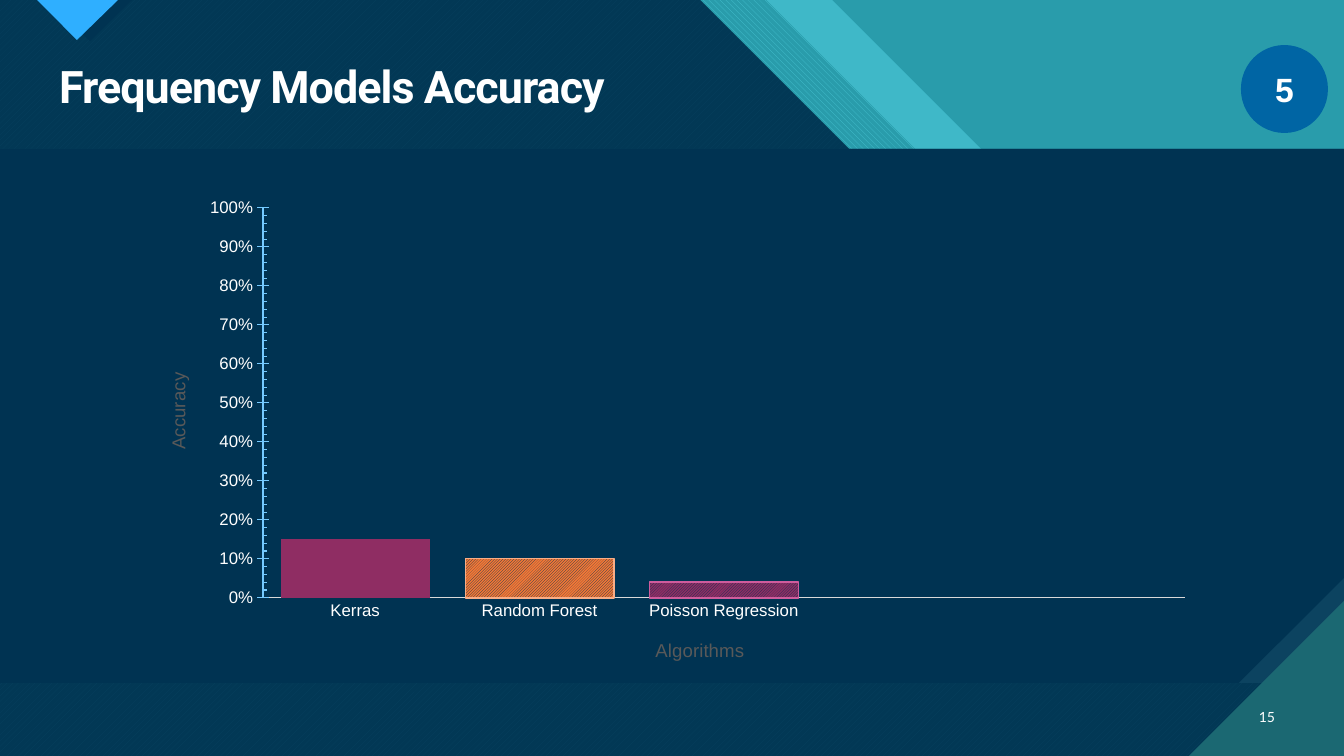
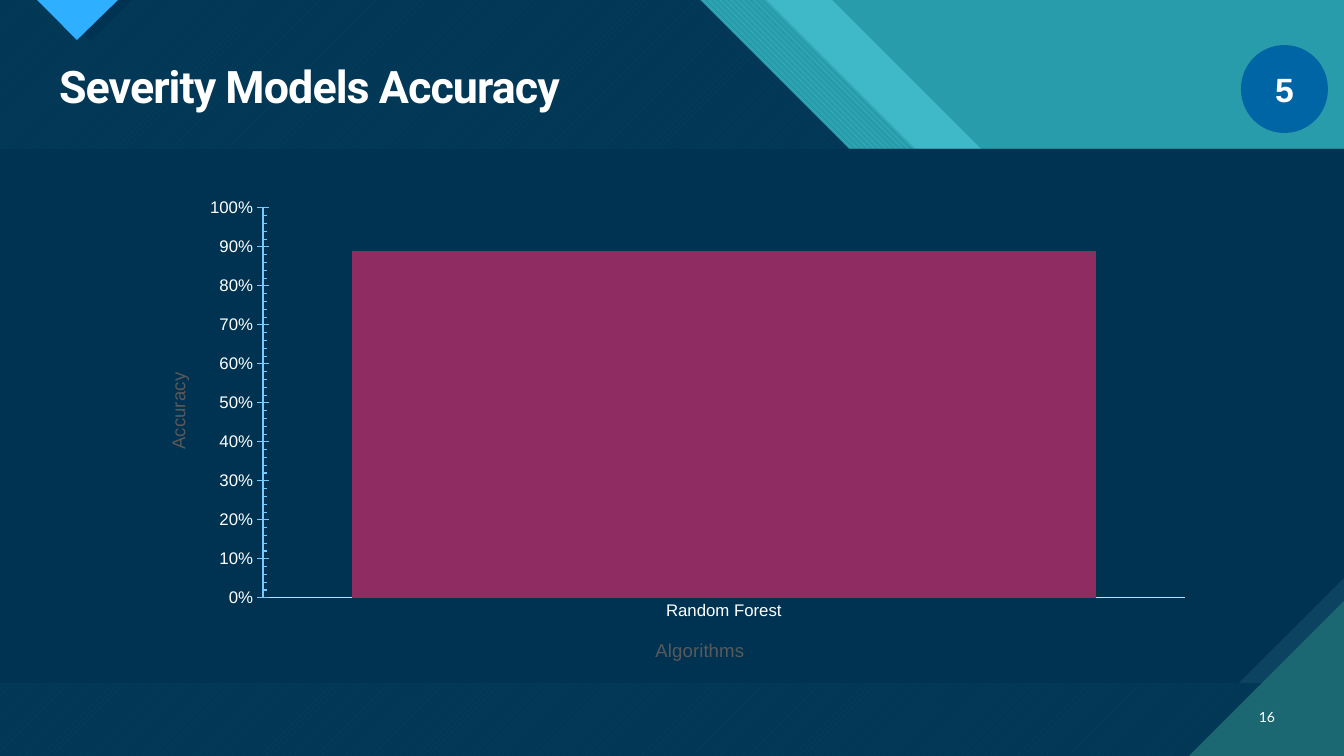
from dataclasses import dataclass

from lxml.etree import SubElement
from pptx import Presentation
from pptx.chart.data import CategoryChartData
from pptx.dml.color import RGBColor
from pptx.enum.chart import XL_CHART_TYPE, XL_TICK_MARK
from pptx.enum.dml import MSO_PATTERN
from pptx.enum.shapes import MSO_SHAPE
from pptx.enum.text import MSO_ANCHOR, MSO_AUTO_SIZE, PP_ALIGN
from pptx.oxml.ns import qn
from pptx.util import Pt

PX = 914400 / 100.8
W, H = 1344, 756


@dataclass(frozen=True)
class Theme:
    navy: str = "003352"
    steel: str = "0C4360"
    blue: str = "0065A4"
    sky: str = "2FAFFF"
    teal: str = "299CAB"
    aqua: str = "47C3D3"
    pine: str = "1B6872"
    plum: str = "8F2D63"
    orange: str = "F47735"
    plum_edge: str = "CF5C9D"
    orange_edge: str = "F8AD86"
    axis_blue: str = "75CAFF"
    axis_gray: str = "D9D9D9"
    caption: str = "595959"
    white: str = "FFFFFF"
    title_font: str = "Roboto"
    body_font: str = "Arial"
    page_font: str = "Lato"
    title_size: float = 32
    badge_size: float = 24
    caption_size: float = 13.3
    axis_size: float = 12
    page_size: float = 10


T = Theme()

SLIDES = [
    {"title": "Frequency Models Accuracy", "page": "15", "badge": "5",
     "bars": [("Kerras", 0.15), ("Random Forest", 0.1),
              ("Poisson Regression", 0.04), ("", None), ("", None)]},
    {"title": "Severity Models Accuracy", "page": "16", "badge": "5",
     "bars": [("Random Forest", 0.89)]},
]
AXIS_TITLES = {"category": "Algorithms", "value": "Accuracy"}

# Bars after the first: fill, edge
HATCHED_BARS = {1: (T.orange, T.orange_edge), 2: (T.plum, T.plum_edge)}

# Boxes: left, top, width, height
TITLE_BOX = (49, 59, 1239, 59)
BADGE_BOX = (1241, 45, 87, 88)
PAGE_BOX = (1241, 697, 44, 40)
BODY_BOX = (0, 149, W, 534)
CHART_BOX = (138, 188, 1068, 490)
PLOT_BOX = (263, 208, 922, 390)
CATEGORY_TITLE_AT = (652, 635)
VALUE_TITLE_AT = (163, 369)
SNIP = 0.197


def band(top_right):
    """Outline of a panel whose right edge falls at 45 degrees."""
    return [(0, 0), (top_right, 0), (W, W - top_right), (W, H), (0, H)]


# Outline, colour, opacity in percent, pattern and its back colour
HEADER_BANDS = [
    (band(832), T.aqua, 74, None, None),
    (band(766), T.aqua, 100, MSO_PATTERN.WIDE_DOWNWARD_DIAGONAL, T.teal),
    (band(700), T.aqua, 100, MSO_PATTERN.WIDE_UPWARD_DIAGONAL, T.pine),
    (band(700), T.navy, 90, None, None),
    ([(48, 0), (132, 0), (90, 41)], T.navy, 100, None, None),
    ([(37, 0), (118, 0), (77, 40)], T.sky, 100, None, None),
]
CORNER = ([(1189, H), (W, H), (W, 601)], T.pine, 100, None, None)


def rgb(color):
    return RGBColor.from_string(color)


def emu(box):
    return [round(v * PX) for v in box]


def paint(fill, color, opacity=100, pattern=None, back=None):
    if pattern is not None:
        fill.patterned()
        fill.pattern = pattern
        fill.fore_color.rgb, fill.back_color.rgb = rgb(color), rgb(back)
        return
    fill.solid()
    fill.fore_color.rgb = rgb(color)
    if opacity < 100:
        clr = fill.fore_color._xFill.find(qn("a:srgbClr"))
        SubElement(clr, qn("a:alpha")).set("val", str(opacity * 1000))


def finish(sp, *fill):
    paint(sp.fill, *fill)
    sp.line.fill.background()
    sp.shadow.inherit = False
    return sp


def add_polygon(shapes, points, *fill):
    builder = shapes.build_freeform(*points[0], scale=PX)
    builder.add_line_segments(points[1:], close=True)
    return finish(builder.convert_to_shape(), *fill)


def add_preset(shapes, kind, box, color):
    return finish(shapes.add_shape(kind, *emu(box)), color)


def style_font(font, name, size, color, bold=False):
    font.name, font.size, font.bold = name, Pt(size), bold
    font.color.rgb = rgb(color)


def write(tf, text, *style, align=PP_ALIGN.LEFT):
    tf.word_wrap = True
    tf.auto_size = MSO_AUTO_SIZE.NONE
    tf.vertical_anchor = MSO_ANCHOR.MIDDLE
    p = tf.paragraphs[0]
    p.alignment = align
    r = p.add_run()
    r.text = text
    style_font(r.font, *style)
    return p, r


def decorate_layout(layout, slide):
    """Draw the shared background on a slide, then move it to the layout."""
    paint(layout.background.fill, T.teal)
    shapes = slide.shapes
    parts = [add_polygon(shapes, *part) for part in HEADER_BANDS]
    parts.append(add_preset(shapes, MSO_SHAPE.RECTANGLE, BODY_BOX, T.steel))
    body = add_preset(shapes, MSO_SHAPE.SNIP_1_RECTANGLE, BODY_BOX, T.navy)
    body.adjustments[0] = SNIP
    body.element.spPr.xfrm.set("flipV", "1")
    parts += [body, add_polygon(shapes, *CORNER)]
    for number, sp in enumerate(parts, 20):
        sp.element.nvSpPr.cNvPr.set("id", str(number))
        layout.shapes.element.append(sp.element)


def place(element, left, top, size=None):
    """Pin a chart part at slide pixels; a size marks the inner plot area."""
    layout = element.find(qn("c:layout"))
    if layout is None:
        layout = element.makeelement(qn("c:layout"))
        element.insert(len(element.findall(qn("c:tx"))), layout)
    x0, y0, width, height = CHART_BOX
    values = [("xMode", "edge"), ("yMode", "edge"),
              ("x", (left - x0) / width), ("y", (top - y0) / height)]
    if size:
        values.insert(0, ("layoutTarget", "inner"))
        values += [("w", size[0] / width), ("h", size[1] / height)]
    manual = SubElement(layout, qn("c:manualLayout"))
    for tag, value in values:
        SubElement(manual, qn(f"c:{tag}")).set("val", str(value))


def style_axis(axis, title, title_at, line):
    axis.has_major_gridlines = False
    style_font(axis.tick_labels.font, T.body_font, T.axis_size, T.white)
    axis.format.line.color.rgb = rgb(line)
    axis.format.line.width = Pt(0.75)
    r = axis.axis_title.text_frame.paragraphs[0].add_run()
    r.text = title
    style_font(r.font, T.body_font, T.caption_size, T.caption)
    place(axis.axis_title._element, *title_at)


def add_accuracy_chart(slide, bars):
    data = CategoryChartData()
    data.categories = [name for name, _ in bars]
    data.add_series("Series 1", [value for _, value in bars])
    chart = slide.shapes.add_chart(
        XL_CHART_TYPE.COLUMN_CLUSTERED, *emu(CHART_BOX), data).chart
    chart.has_legend = chart.has_title = False
    style_font(chart.font, T.body_font, T.axis_size, T.white)

    plot = chart.plots[0]
    plot.gap_width = 24
    plot.vary_by_categories = False
    series = plot.series[0]
    paint(series.format.fill, T.plum)
    for i, (color, edge) in HATCHED_BARS.items():
        if i < len(bars):
            fmt = series.points[i].format
            paint(fmt.fill, T.navy, 100,
                  MSO_PATTERN.LIGHT_UPWARD_DIAGONAL, color)
            fmt.line.color.rgb = rgb(edge)
            fmt.line.width = Pt(1)

    cat, val = chart.category_axis, chart.value_axis
    style_axis(cat, AXIS_TITLES["category"], CATEGORY_TITLE_AT, T.axis_gray)
    cat.major_tick_mark = XL_TICK_MARK.NONE
    style_axis(val, AXIS_TITLES["value"], VALUE_TITLE_AT, T.axis_blue)
    val.minimum_scale, val.maximum_scale = 0, 1
    val.major_unit, val.minor_unit = 0.1, 0.02
    val.major_tick_mark = XL_TICK_MARK.CROSS
    val.minor_tick_mark = XL_TICK_MARK.INSIDE
    val.tick_labels.number_format = "0%"
    val.tick_labels.number_format_is_linked = False
    body = val.axis_title._element.find(".//" + qn("a:bodyPr"))
    body.set("rot", "-5400000")
    body.set("vert", "horz")
    place(chart._chartSpace.chart.plotArea, *PLOT_BOX[:2], PLOT_BOX[2:])


def fill_slide(slide, content):
    title = slide.shapes.title
    title.left, title.top, title.width, title.height = emu(TITLE_BOX)
    p, r = write(title.text_frame, content["title"],
                 T.title_font, T.title_size, T.white, True)
    p.line_spacing = 0.9
    r.font._element.set("spc", "-70")

    add_accuracy_chart(slide, content["bars"])

    page = slide.shapes.add_textbox(*emu(PAGE_BOX))
    write(page.text_frame, content["page"],
          T.page_font, T.page_size, T.white, align=PP_ALIGN.RIGHT)
    badge = add_preset(slide.shapes, MSO_SHAPE.ROUNDED_RECTANGLE,
                       BADGE_BOX, T.blue)
    badge.adjustments[0] = 0.5
    write(badge.text_frame, content["badge"],
          T.body_font, T.badge_size, T.white, True, align=PP_ALIGN.CENTER)


def main():
    prs = Presentation()
    prs.slide_width, prs.slide_height = emu((W, H))
    layout = prs.slide_layouts[5]
    slides = [prs.slides.add_slide(layout) for _ in SLIDES]
    decorate_layout(layout, slides[0])
    for slide, content in zip(slides, SLIDES):
        fill_slide(slide, content)
    prs.save("out.pptx")


if __name__ == "__main__":
    main()
